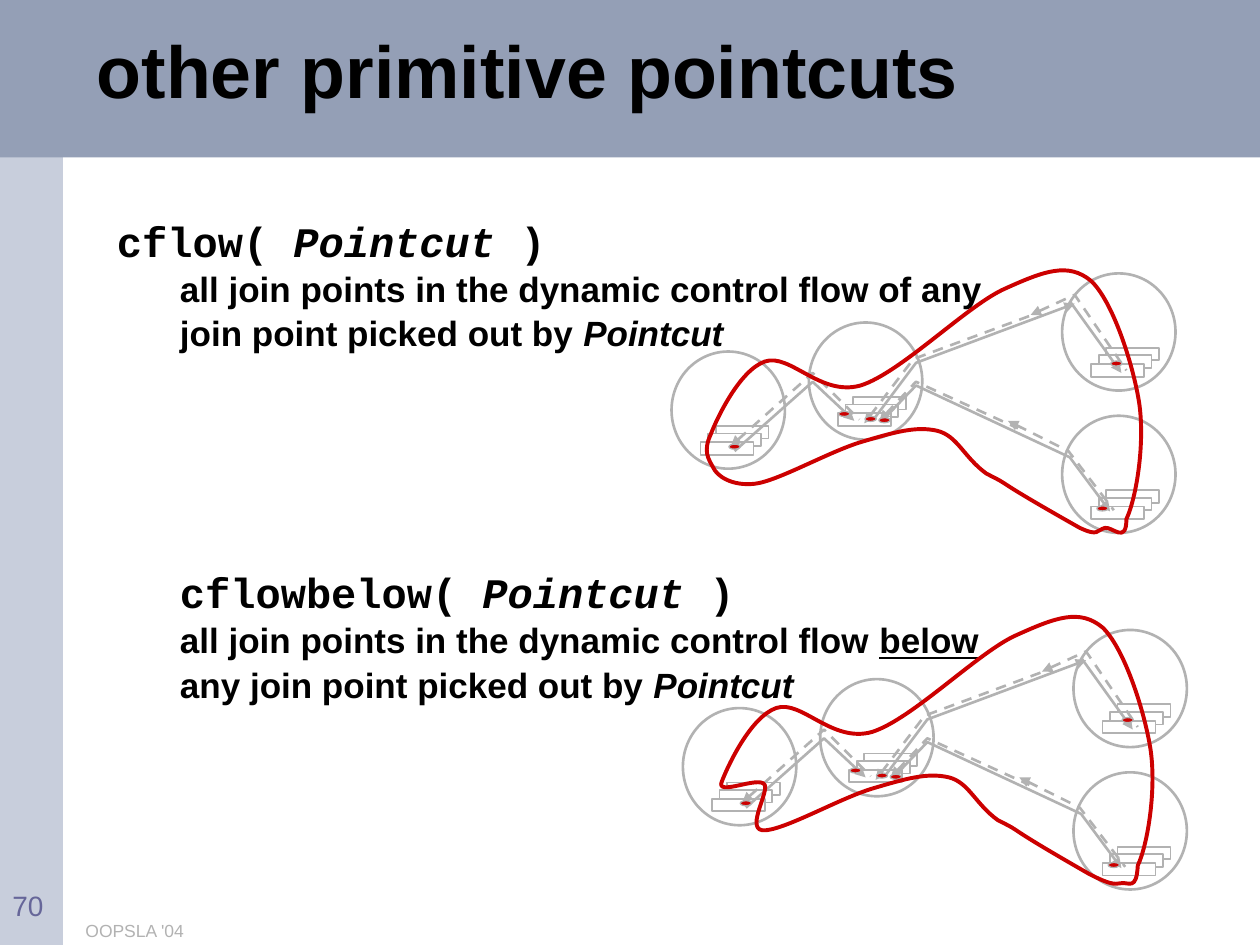
from dataclasses import dataclass

from lxml import etree
from pptx import Presentation, util as u
from pptx.dml.color import RGBColor
from pptx.enum import dml, shapes, text
from pptx.oxml import ns


@dataclass(frozen=True)
class Theme:
    ink: str = "000000"
    paper: str = "FFFFFF"
    band: str = "949FB6"
    side: str = "C8CEDC"
    gray: str = "B2B2B2"
    red: str = "CC0000"
    number: str = "666699"
    sans: str = "Arial"
    mono: str = "Courier New"
    title_size: float = 42
    code_size: float = 24
    body_size: float = 20
    number_size: float = 16
    footer_size: float = 10


THEME = Theme()
CODE = {"name": THEME.mono, "size": u.Pt(THEME.code_size), "bold": True}
BODY = {"name": THEME.sans, "size": u.Pt(THEME.body_size), "bold": True}
ITALIC = {"italic": True}

# Call diagram, in inches from its top left corner
OBJECTS = [(0, 0.62), (3.1, 0), (1.09, 0.39), (3.1, 1.13)]
METHOD_FRAMES = [(0.35, 0.59), (0.29, 0.65), (0.23, 0.72)]
CALLS = [
    [(0.5, 1.41), (1.12, 0.86), (1.45, 1.17)],
    [(3.16, 0.22), (3.57, 0.79)],
    [(1.61, 1.15), (1.94, 0.71), (3.2, 0.24)],
    [(1.69, 1.15), (1.94, 0.89), (3.16, 1.46), (3.48, 1.89)],
]
RETURNS = [
    [(0.47, 1.37), (1.12, 0.79), (1.49, 1.16)],
    [(1.53, 1.19), (1.92, 0.68), (2.89, 0.32)],
    [(2.85, 0.33), (3.2, 0.17), (3.61, 0.77)],
    [(1.65, 1.17), (1.94, 0.86), (2.75, 1.23)],
    [(2.67, 1.17), (3.15, 1.41), (3.51, 1.88)],
]
JOIN_POINTS = [(3.51, 0.67), (0.48, 1.33), (1.56, 1.11),
               (1.67, 1.12), (3.4, 1.82), (1.35, 1.07)]

# Control flow outline: a start point, then three Bezier points per curve
TOP_EDGE = [
    (0.06, 1.37),
    (0.11, 1.24), (0.29, 0.86), (0.49, 0.79),
    (0.69, 0.72), (0.93, 1.07), (1.25, 0.98),
    (1.57, 0.88), (2.1, 0.34), (2.4, 0.21),
    (2.71, 0.07), (2.9, 0), (3.08, 0.15),
    (3.25, 0.31), (3.41, 0.8), (3.46, 1.11),
    (3.51, 1.43), (3.44, 1.87), (3.36, 2.04),
]
BOTTOM_EDGE = [
    (2.23, 1.68), (2.49, 1.8), (2.25, 1.68),
    (2.07, 1.55), (2.02, 1.38), (1.86, 1.34),
    (1.69, 1.3), (1.52, 1.35), (1.25, 1.43),
    (0.99, 1.51), (0.59, 1.74), (0.41, 1.76),
]
CFLOW = (
    TOP_EDGE
    + [(3.36, 2.24), (3.25, 2.1), (3.19, 2.11), (3.12, 2.13), (3.14, 2.18), (2.99, 2.11)]
    + BOTTOM_EDGE
    + [(0.23, 1.78), (0.11, 1.7), (0.08, 1.63), (0.04, 1.56), (0, 1.5), (0.06, 1.37)]
)
CFLOW_BELOW = (
    TOP_EDGE
    + [(3.35, 2.24), (3.29, 2.17), (3.23, 2.18), (3.17, 2.19), (3.14, 2.19), (2.98, 2.11)]
    + BOTTOM_EDGE
    + [(0.23, 1.78), (0.43, 1.47), (0.4, 1.4), (0.36, 1.32), (0, 1.5), (0.06, 1.37)]
)


def set_format(target, values):
    for name, value in values.items():
        setattr(target, name, value)


def style(shape, fill=None, line=None, width=1.0):
    shape.shadow.inherit = False
    if fill:
        shape.fill.solid()
        shape.fill.fore_color.rgb = RGBColor.from_string(fill)
    else:
        shape.fill.background()
    if line:
        shape.line.color.rgb = RGBColor.from_string(line)
        shape.line.width = u.Pt(width)
    else:
        shape.line.fill.background()


def add_preset(parent, kind, box, **look):
    shape = parent.add_shape(kind, *map(u.Inches, box))
    style(shape, **look)
    return shape


def add_outline(parent, origin, points, close=False, **look):
    places = [(u.Inches(origin[0] + x), u.Inches(origin[1] + y)) for x, y in points]
    builder = parent.build_freeform(*places[0])
    builder.add_line_segments(places[1:], close=close)
    shape = builder.convert_to_shape()
    style(shape, **look)
    return shape


def add_text(slide, box, paragraphs, color=THEME.ink, **frame_format):
    """Each paragraph is a dict of format values and a list of (words, font values)."""
    frame = slide.shapes.add_textbox(*map(u.Inches, box)).text_frame
    set_format(frame, {"word_wrap": True, **frame_format})
    for index, (layout, runs) in enumerate(paragraphs):
        paragraph = frame.add_paragraph() if index else frame.paragraphs[0]
        layout = dict(layout)
        indent = layout.pop("indent", 0)
        if indent:
            paragraph._p.get_or_add_pPr().set("marL", str(u.Inches(indent)))
        set_format(paragraph, layout)
        for words, font in runs:
            run = paragraph.add_run()
            run.text = words
            set_format(run.font, font)
            run.font.color.rgb = RGBColor.from_string(color)


def add_background(slide):
    rectangle = shapes.MSO_SHAPE.RECTANGLE
    add_preset(slide.shapes, rectangle, (0, 0, 0.5, 7.5), fill=THEME.side)
    add_preset(slide.shapes, rectangle, (0, 0, 10, 1.25), fill=THEME.band)


def add_title(slide, box):
    font = {"name": THEME.sans, "size": u.Pt(THEME.title_size), "bold": True}
    add_text(slide, box, [({"line_spacing": 0.85}, [("other primitive pointcuts", font)])],
             vertical_anchor=text.MSO_ANCHOR.MIDDLE)


def add_definitions(slide, box):
    spacing = {"line_spacing": 1.05}
    inner = {**spacing, "indent": 0.5}
    add_text(slide, box, [
        (spacing, [("cflow( ", CODE), ("Pointcut ", CODE | ITALIC), (")", CODE)]),
        (inner, [("all join points in the dynamic control flow of any "
                  "join point picked out by ", BODY), ("Pointcut", BODY | ITALIC)]),
        (inner | {"space_before": u.Pt(120)},
         [("cflowbelow( ", CODE), ("Pointcut", CODE | ITALIC), (" )", CODE)]),
        (inner, [("all join points in the dynamic control flow ", BODY),
                 ("below", BODY | {"underline": True}),
                 (" any join point picked out by ", BODY), ("Pointcut", BODY | ITALIC)]),
    ])


def add_route(parent, origin, points, arrow_end, dash=None):
    route = add_outline(parent, origin, points, line=THEME.gray, width=1.5)
    route.line.dash_style = dash
    etree.SubElement(route.line._get_or_add_ln(), ns.qn(f"a:{arrow_end}"), type="triangle")


def add_call_diagram(slide, origin):
    left, top = origin
    parent = slide.shapes.add_group_shape().shapes
    # Objects with their stacked methods
    for x, y in OBJECTS:
        for dx, dy in METHOD_FRAMES:
            add_preset(parent, shapes.MSO_SHAPE.RECTANGLE,
                       (left + x + dx, top + y + dy, 0.42, 0.1),
                       fill=THEME.paper, line=THEME.gray)
        add_preset(parent, shapes.MSO_SHAPE.OVAL, (left + x, top + y, 0.9, 0.93),
                   line=THEME.gray, width=1.5)
    # Calls and returns
    for points in RETURNS:
        add_route(parent, origin, points, "headEnd", dml.MSO_LINE.DASH)
    for points in CALLS:
        add_route(parent, origin, points, "tailEnd")
    # Join points
    for x, y in JOIN_POINTS:
        dot = add_preset(parent, shapes.MSO_SHAPE.OVAL, (left + x, top + y, 0.04, 0.09),
                         fill=THEME.red, line=THEME.gray, width=0.75)
        dot.rotation = 89.3


def add_control_flow(slide, origin, points):
    shape = add_outline(slide.shapes, origin, points, close=True, line=THEME.red, width=2.25)
    # Turn each three line segments into one Bezier curve
    segments = list(shape._element.iter(ns.qn("a:lnTo")))
    for first in range(0, len(segments), 3):
        curve = etree.Element(ns.qn("a:cubicBezTo"))
        segments[first].addprevious(curve)
        for segment in segments[first:first + 3]:
            curve.append(segment[0])
            segment.getparent().remove(segment)


def add_footer(slide):
    for box, words, size, color in [
        ((0.58, 7.25, 5.58, 0.25), "OOPSLA '04", THEME.footer_size, THEME.gray),
        ((0, 7, 0.67, 0.25), "70", THEME.number_size, THEME.number),
    ]:
        add_text(slide, box, [({}, [(words, {"name": THEME.sans, "size": u.Pt(size)})])], color)


def main():
    presentation = Presentation()
    set_format(presentation, {"slide_width": u.Inches(10), "slide_height": u.Inches(7.5)})
    slide = presentation.slides.add_slide(presentation.slide_layouts[6])
    add_background(slide)
    add_definitions(slide, (0.83, 1.64, 7.08, 4.18))
    add_title(slide, (0.67, 0.08, 8.33, 1.05))
    for origin in [(5.42, 5), (5.33, 2.17)]:
        add_call_diagram(slide, origin)
    add_control_flow(slide, (5.58, 2.08), CFLOW)
    add_control_flow(slide, (5.67, 4.83), CFLOW_BELOW)
    add_footer(slide)
    presentation.save("out.pptx")


if __name__ == "__main__":
    main()
